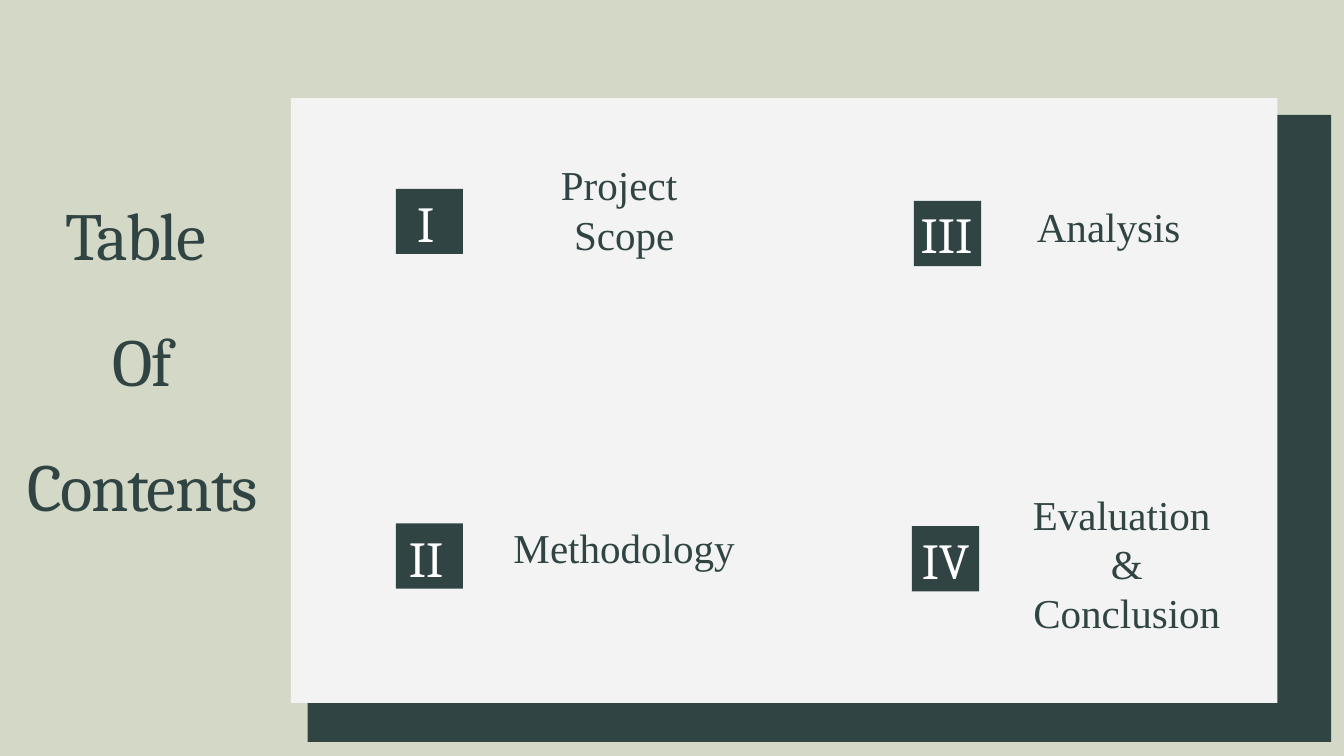
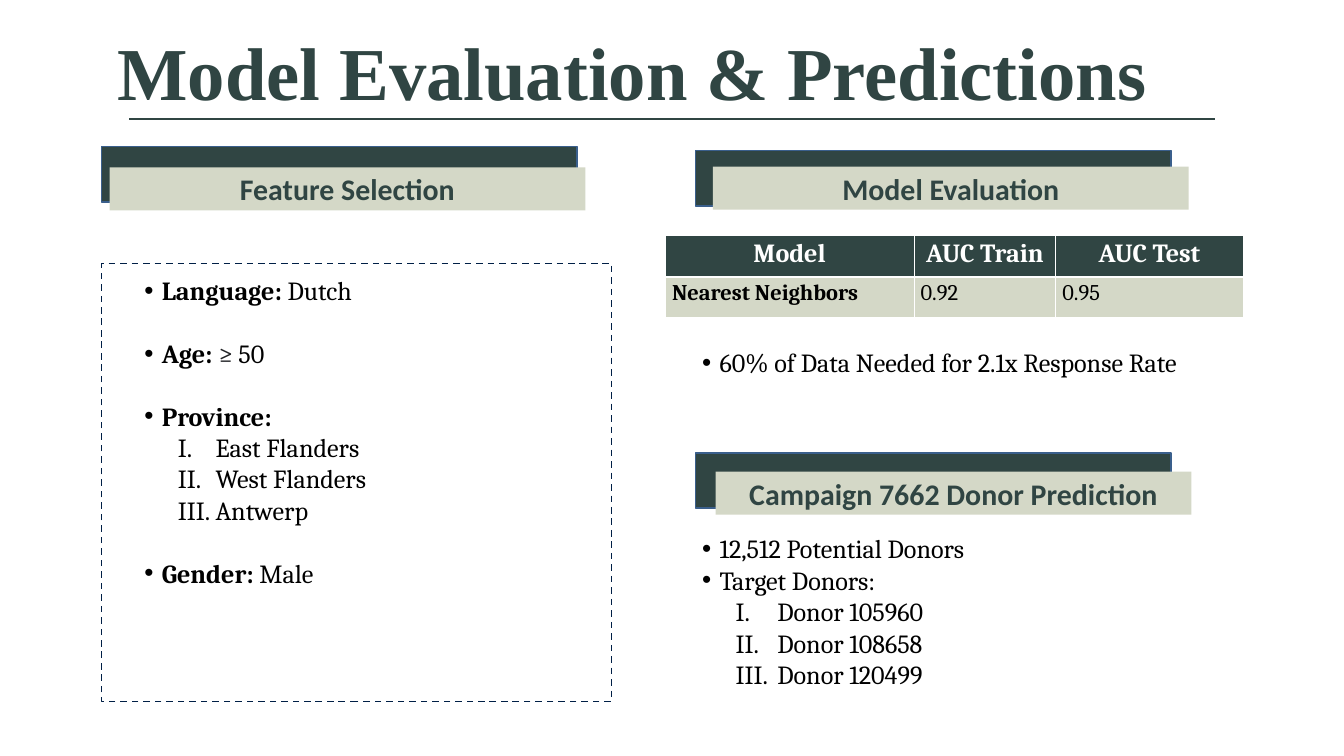
from lxml.etree import SubElement
from pptx import Presentation
from pptx.dml.color import RGBColor
from pptx.enum.dml import MSO_LINE_DASH_STYLE as Dash
from pptx.enum.shapes import MSO_CONNECTOR as Connector, MSO_SHAPE as Shape
from pptx.enum.text import MSO_ANCHOR as Anchor, MSO_AUTO_SIZE as AutoSize, PP_ALIGN as Align
from pptx.oxml.ns import qn
from pptx.util import Inches, Pt

COLORS = {
    "sage": "D4D8C7",
    "pine": "304543",
    "panel": "F3F3F3",
    "white": "FFFFFF",
    "black": "000000",
    "ink": "202124",
    "edge": "3A5F8C",
    "navy": "001F46",
}
SERIF = "Cambria"
ROMAN = "Times New Roman"
SANS = "Calibri"


def rgb(name):
    return RGBColor.from_string(COLORS[name])


def set_marker(para, marker, left, hanging):
    props = para._p.get_or_add_pPr()
    props.set("marL", str(Inches(left)))
    props.set("indent", str(-Inches(hanging)))
    if marker == "roman":
        SubElement(props, qn("a:buFont"), typeface="+mj-lt")
        SubElement(props, qn("a:buAutoNum"), type="romanUcPeriod")
    else:
        SubElement(props, qn("a:buFont"), typeface="Arial")
        SubElement(props, qn("a:buChar"), char=marker)


def write_text(para, text, font=SERIF, size=28, color="black", bold=False, align=None,
               line=None, before=None, after=None, tracking=None, marker=None,
               left=0.26, hanging=0.26):
    if marker:
        set_marker(para, marker, left, hanging)
    if align is not None:
        para.alignment = align
    if line:
        para.line_spacing = Pt(line)
    if before:
        para.space_before = Pt(before)
    if after:
        para.space_after = Pt(after)
    span = para.add_run()
    span.text = text
    span.font.name = font
    span.font.size = Pt(size)
    span.font.bold = bold
    span.font.color.rgb = rgb(color)
    if tracking:
        span._r.get_or_add_rPr().set("spc", str(int(tracking * 100)))


class SlideBuilder:
    def __init__(self, deck):
        self.deck = deck
        self.page = None

    def new_page(self, background):
        self.page = self.deck.slides.add_slide(self.deck.slide_layouts[6])
        fill = self.page.background.fill
        fill.solid()
        fill.fore_color.rgb = rgb(background)

    def rect(self, left, top, width, height, fill=None, line=None, weight=2, dash=None):
        box = self.page.shapes.add_shape(
            Shape.RECTANGLE, Inches(left), Inches(top), Inches(width), Inches(height))
        box.shadow.inherit = False
        if fill:
            box.fill.solid()
            box.fill.fore_color.rgb = rgb(fill)
        else:
            box.fill.background()
        if line:
            box.line.color.rgb = rgb(line)
            box.line.width = Pt(weight)
            if dash:
                box.line.dash_style = dash
        else:
            box.line.fill.background()
        return box

    def text(self, left, top, width, height, inset=True):
        box = self.page.shapes.add_textbox(
            Inches(left), Inches(top), Inches(width), Inches(height))
        frame = box.text_frame
        frame.word_wrap = True
        frame.auto_size = AutoSize.SHAPE_TO_FIT_TEXT
        if not inset:
            frame.margin_left = frame.margin_right = 0
            frame.margin_top = frame.margin_bottom = 0
        return frame

    def lines(self, frame, texts, gap=0, **style):
        for index, text in enumerate(texts):
            para = frame.add_paragraph() if index else frame.paragraphs[0]
            write_text(para, text, before=gap if index else None,
                       after=gap if index < len(texts) - 1 else None, **style)

    def rule(self, left, right, top):
        line = self.page.shapes.add_connector(
            Connector.STRAIGHT, Inches(left), Inches(top), Inches(right), Inches(top))
        line.line.color.rgb = rgb("pine")
        line.line.width = Pt(1.5)
        SubElement(line._element.spPr, qn("a:effectLst"))

    def numeral(self, text, left, top, text_left, text_top, text_width):
        self.rect(left, top, 1, 0.97, "pine")
        frame = self.text(text_left, text_top, text_width, 0.9, inset=False)
        self.lines(frame, [text], size=54, color="white", align=Align.CENTER, line=64)

    def banner(self, text, left, top, label_left, label_top):
        self.rect(left, top, 7.08, 0.82, "pine", "edge")
        label = self.rect(label_left, label_top, 7.08, 0.64, "sage")
        frame = label.text_frame
        frame.word_wrap = True
        frame.vertical_anchor = Anchor.MIDDLE
        write_text(frame.paragraphs[0], text, font=SANS, size=32, color="pine",
                   bold=True, align=Align.CENTER)

    def bullets(self, frame, items, gap=0, roman_left=1.06, roman_hanging=0.56):
        for index, (label, detail, entries) in enumerate(items):
            para = frame.add_paragraph() if index else frame.paragraphs[0]
            write_text(para, label, bold=bool(gap), marker="•",
                       before=gap if index else None)
            for text, color in detail:
                write_text(para, text, color=color)
            for entry in entries:
                para = frame.add_paragraph()
                para.level = 1
                write_text(para, entry, marker="roman", left=roman_left,
                           hanging=roman_hanging)

    def cell_borders(self, cell, weights):
        props = cell._tc.get_or_add_tcPr()
        for side, weight in zip("LRTB", weights):
            line = SubElement(props, qn(f"a:ln{side}"), w=str(Pt(weight)))
            fill = SubElement(line, qn("a:solidFill"))
            SubElement(fill, qn("a:srgbClr"), val=COLORS["white"])

    def table(self, left, top, widths, row_height, rows):
        grid = self.page.shapes.add_table(
            len(rows), len(widths), Inches(left), Inches(top),
            Inches(sum(widths)), Inches(row_height * len(rows))).table
        for column, width in zip(grid.columns, widths):
            column.width = Inches(width)
        for row_index, row in enumerate(rows):
            header = row_index == 0
            grid.rows[row_index].height = Inches(row_height)
            for column_index, text in enumerate(row):
                cell = grid.cell(row_index, column_index)
                self.cell_borders(cell, (1, 1, 1 if header else 3, 3 if header else 1))
                cell.fill.solid()
                cell.fill.fore_color.rgb = rgb("pine" if header else "sage")
                write_text(cell.text_frame.paragraphs[0], text,
                           size=28 if header else 24,
                           color="white" if header else "black",
                           bold=header or column_index == 0,
                           align=Align.CENTER if header else Align.LEFT)


def build_contents(builder):
    builder.new_page("sage")
    builder.rect(4.58, 1.71, 15.23, 9.33, "pine")
    builder.rect(4.33, 1.46, 14.68, 9, "panel")

    for numeral in [
        ("I", 5.89, 2.81, 6.14, 2.87, 0.39),
        ("II", 5.89, 7.79, 6.04, 7.86, 0.6),
        ("III", 13.6, 2.99, 13.69, 3.03, 0.79),
        ("IV", 13.57, 7.83, 13.64, 7.89, 0.86),
    ]:
        builder.numeral(*numeral)

    for texts, place, line in [
        (["Project ", "Scope"], (7.36, 2.38, 3.86, 1.48), None),
        (["Methodology"], (7.36, 7.97, 3.86, 0.59), 39.2),
        (["Analysis"], (14.57, 3.18, 3.86, 0.59), 39.2),
        (["Evaluation ", "&", "Conclusion"], (14.99, 7.28, 3.56, 2.29), None),
    ]:
        frame = builder.text(*place, inset=False)
        builder.lines(frame, texts, font=ROMAN, size=44, color="pine",
                      align=Align.CENTER, line=line)

    title = builder.text(0.1, 2.88, 4.04, 4.98, inset=False)
    builder.lines(title, ["Table ", "Of", "\u00a0Contents".strip()], gap=24, size=72,
                  color="pine", align=Align.CENTER, tracking=-1.6)


def build_evaluation(builder):
    builder.new_page("white")
    title = builder.text(1.75, 0.61, 15.57, 1.16, inset=False)
    builder.lines(title, ["Model Evaluation & Predictions"], font=ROMAN, size=80,
                  color="pine", bold=True, line=80)
    builder.rule(1.92, 18.08, 1.77)

    builder.banner("Feature Selection", 1.51, 2.18, 1.63, 2.49)
    builder.banner("Model Evaluation", 10.35, 2.24, 10.61, 2.48)
    builder.banner("Campaign 7662 Donor Prediction", 10.35, 6.74, 10.65, 7.02)

    builder.rect(1.51, 3.92, 7.59, 6.52, line="navy", weight=1.75, dash=Dash.DASH)
    features = builder.text(2.05, 4.04, 6.4, 5.89)
    builder.bullets(features, [
        ("Language: ", [("Dutch", "black")], []),
        ("Age: ", [("≥ ", "ink"), ("50", "black")], []),
        ("Province:", [], ["East Flanders", "West Flanders", "Antwerp"]),
        ("Gender: ", [("Male", "black")], []),
    ], gap=33.5)

    builder.table(9.9, 3.51, [3.7, 2.11, 2.79], 0.61, [
        ["Model", "AUC Train", "AUC Test"],
        ["Nearest Neighbors", "0.92", "0.95"],
    ])

    response = builder.text(10.35, 5.11, 8.31, 0.57)
    builder.bullets(response, [("60% of Data Needed for 2.1x Response Rate", [], [])])
    donors = builder.text(10.35, 7.88, 8.31, 3)
    builder.bullets(donors, [
        ("12,512 Potential Donors", [], []),
        ("Target Donors:", [], ["Donor 105960", "Donor 108658", "Donor 120499"]),
    ], roman_left=1.12, roman_hanging=0.62)


def main():
    deck = Presentation()
    deck.slide_width = Inches(20)
    deck.slide_height = Inches(11.25)
    builder = SlideBuilder(deck)
    build_contents(builder)
    build_evaluation(builder)
    deck.save("out.pptx")


if __name__ == "__main__":
    main()
